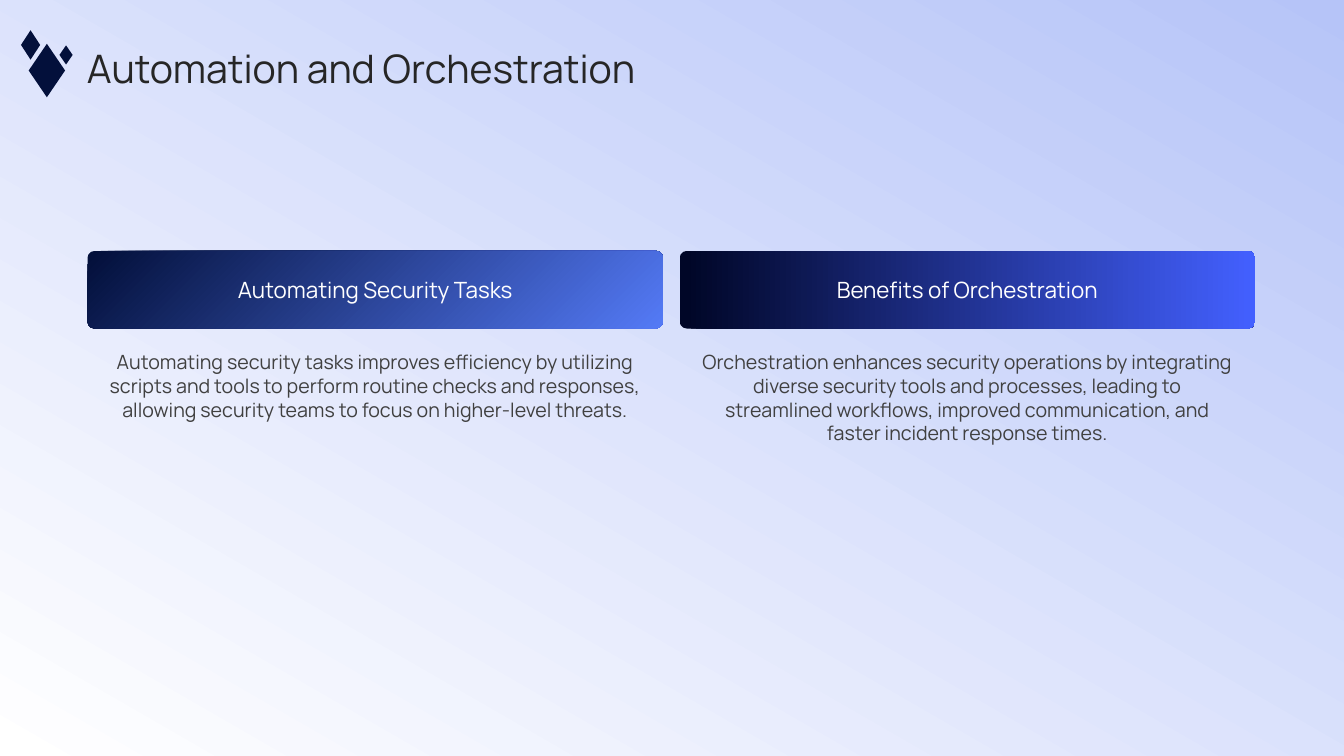
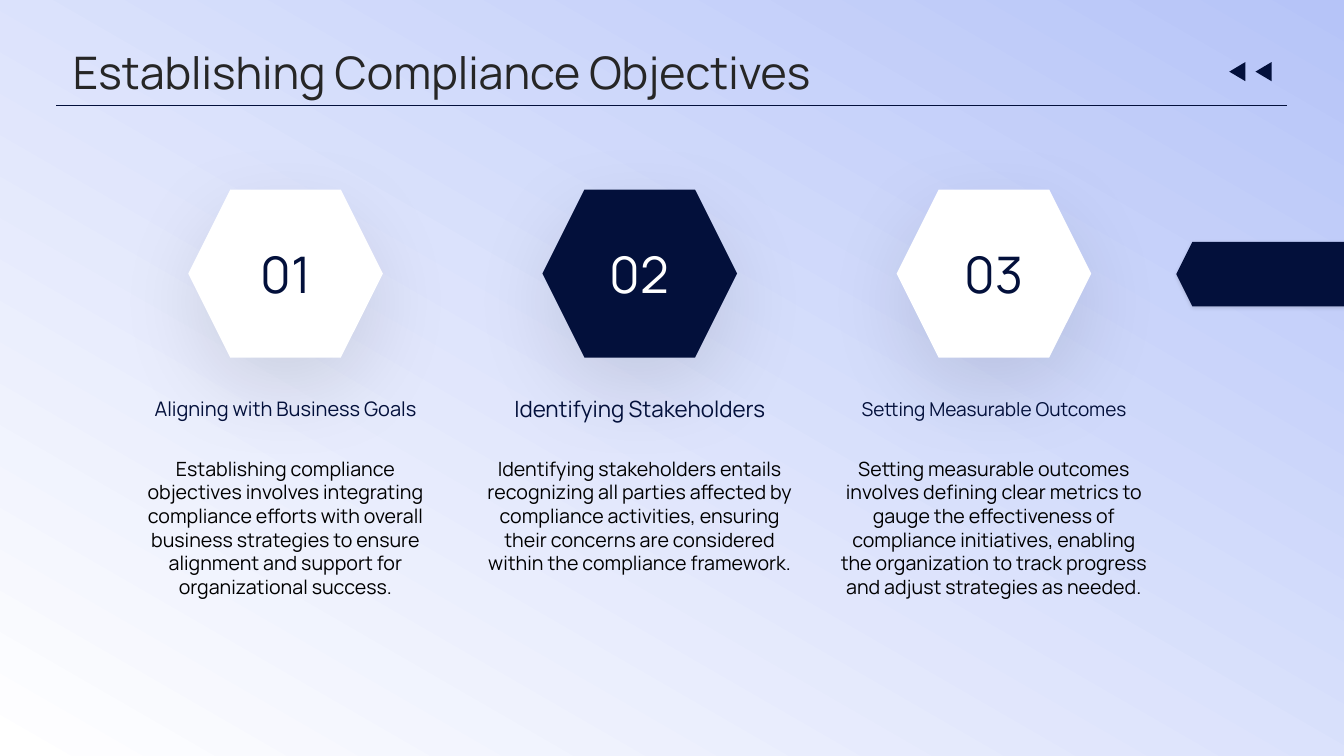
from dataclasses import dataclass

from lxml import etree
from pptx import Presentation
from pptx.dml.color import RGBColor
from pptx.dml.fill import FillFormat
from pptx.enum import shapes, text
from pptx.oxml import ns
from pptx.shapes.autoshape import Shape
from pptx.slide import Slide
from pptx.text.text import TextFrame
from pptx.util import Pt


@dataclass(frozen=True)
class Theme:
    font: str = "Manrope"
    navy: str = "03103B"
    white: str = "FFFFFF"
    black: str = "000000"
    title: str = "262626"
    body: str = "404040"
    backdrop: str = "B6C4F8"
    body_size: float = 14
    body_spacing: float = 16.9
    heading_size: float = 16
    number_size: float = 36
    label_sizes: tuple[float, ...] = (14.3, 16, 13.6)
    title_sizes: tuple[float, ...] = (28, 32)


@dataclass(frozen=True)
class Box:
    left: float
    top: float
    width: float
    height: float

    def lengths(self) -> tuple[Pt, Pt, Pt, Pt]:
        return Pt(self.left), Pt(self.top), Pt(self.width), Pt(self.height)


@dataclass(frozen=True)
class Gradient:
    start: str
    end: str
    angle: float
    offset: float = 0


@dataclass(frozen=True)
class Shadow:
    opacity: int
    blur: float
    distance: float


@dataclass(frozen=True)
class Card:
    heading: str
    body: str
    gradient: Gradient


@dataclass(frozen=True)
class Objective:
    label: str
    body: str
    fill: str
    number_color: str


THEME = Theme()
SLIDE_WIDTH, SLIDE_HEIGHT = 960, 540
HEXAGON_SHADOW = Shadow(10, 60, 20)
TAB_SHADOW = Shadow(15, 3, 1)
DIAMONDS = (
    Box(20.5, 31.3, 26, 38.2),
    Box(15, 21.6, 13.7, 21),
    Box(42.5, 32.4, 9.4, 13.7),
)
CARDS = (
    Card(
        "Automating Security Tasks",
        "Automating security tasks improves efficiency by utilizing scripts and tools to perform "
        "routine checks and responses, allowing security teams to focus on higher-level threats.",
        Gradient(THEME.navy, "547AF6", 45, 0.01),
    ),
    Card(
        "Benefits of Orchestration",
        "Orchestration enhances security operations by integrating diverse security tools and "
        "processes, leading to streamlined workflows, improved communication, and faster "
        "incident response times.",
        Gradient("000627", "4360FF", 0, 0.01),
    ),
)
OBJECTIVES = (
    Objective(
        "Aligning with Business Goals",
        "Establishing compliance objectives involves integrating compliance efforts with overall "
        "business strategies to ensure alignment and support for organizational success.",
        THEME.white,
        THEME.navy,
    ),
    Objective(
        "Identifying Stakeholders",
        "Identifying stakeholders entails recognizing all parties affected by compliance "
        "activities, ensuring their concerns are considered within the compliance framework.",
        THEME.navy,
        THEME.white,
    ),
    Objective(
        "Setting Measurable Outcomes",
        "Setting measurable outcomes involves defining clear metrics to gauge the effectiveness "
        "of compliance initiatives, enabling the organization to track progress and adjust "
        "strategies as needed.",
        THEME.white,
        THEME.navy,
    ),
)


def rgb(color: str) -> RGBColor:
    return RGBColor.from_string(color)


def apply_gradient(fill: FillFormat, gradient: Gradient) -> None:
    fill.gradient()
    fill.gradient_angle = 360 - gradient.angle
    first, last = fill.gradient_stops
    first.color.rgb, first.position = rgb(gradient.start), gradient.offset
    last.color.rgb, last.position = rgb(gradient.end), 1


def write_text(
    frame: TextFrame,
    content: str,
    size: float,
    color: str,
    alignment: text.PP_ALIGN = text.PP_ALIGN.CENTER,
    anchor: text.MSO_ANCHOR = text.MSO_ANCHOR.MIDDLE,
    spacing: float | None = None,
) -> None:
    frame.word_wrap = True
    frame.auto_size = text.MSO_AUTO_SIZE.NONE
    frame.vertical_anchor = anchor
    frame.margin_left = frame.margin_top = frame.margin_right = frame.margin_bottom = 0
    frame.text = content
    paragraph = frame.paragraphs[0]
    paragraph.alignment = alignment
    if spacing is not None:
        paragraph.line_spacing = Pt(spacing)
    paragraph.font.name = THEME.font
    paragraph.font.size = Pt(size)
    paragraph.font.color.rgb = rgb(color)


def add_text(slide: Slide, box: Box, content: str, size: float, color: str) -> None:
    write_text(slide.shapes.add_textbox(*box.lengths()).text_frame, content, size, color)


def add_body(slide: Slide, box: Box, content: str, color: str) -> None:
    write_text(
        slide.shapes.add_textbox(*box.lengths()).text_frame,
        content,
        THEME.body_size,
        color,
        anchor=text.MSO_ANCHOR.TOP,
        spacing=THEME.body_spacing,
    )


def add_shape(
    slide: Slide,
    kind: shapes.MSO_SHAPE,
    box: Box,
    fill: str | Gradient,
    shadow: Shadow | None = None,
) -> Shape:
    shape = slide.shapes.add_shape(kind, *box.lengths())
    shape.line.fill.background()
    shape.shadow.inherit = False
    if isinstance(fill, Gradient):
        apply_gradient(shape.fill, fill)
    else:
        shape.fill.solid()
        shape.fill.fore_color.rgb = rgb(fill)
    if shadow is not None:
        effects = shape.element.spPr.find(ns.qn("a:effectLst"))
        outer = etree.SubElement(
            effects,
            ns.qn("a:outerShdw"),
            blurRad=str(Pt(shadow.blur)),
            dist=str(Pt(shadow.distance)),
            dir=str(90 * 60000),
            algn="t",
            rotWithShape="0",
        )
        color = etree.SubElement(outer, ns.qn("a:srgbClr"), val=THEME.black)
        etree.SubElement(color, ns.qn("a:alpha"), val=str(shadow.opacity * 1000))
    return shape


def add_slide(presentation: Presentation, title: str, box: Box, size: float) -> Slide:
    slide = presentation.slides.add_slide(presentation.slide_layouts.get_by_name("Title Only"))
    placeholder = slide.shapes.title
    placeholder.left, placeholder.top, placeholder.width, placeholder.height = box.lengths()
    write_text(placeholder.text_frame, title, size, THEME.title, text.PP_ALIGN.LEFT)
    return slide


def build_automation(presentation: Presentation) -> None:
    slide = add_slide(
        presentation, "Automation and Orchestration", Box(62, 30.2, 840, 36.7), THEME.title_sizes[0]
    )
    for diamond in DIAMONDS:
        add_shape(slide, shapes.MSO_SHAPE.DIAMOND, diamond, THEME.navy)
    width, gap, inset = 411, 12, 13
    for index, card in enumerate(CARDS):
        left = 62.5 + index * (width + gap)
        header = add_shape(
            slide,
            shapes.MSO_SHAPE.ROUNDED_RECTANGLE,
            Box(left, 179.3, width, 55.4),
            card.gradient,
        )
        header.adjustments[0] = 0.09
        write_text(header.text_frame, card.heading, THEME.heading_size, THEME.white)
        add_body(slide, Box(left + inset, 250, width - 2 * inset, 142), card.body, THEME.body)


def build_objectives(presentation: Presentation) -> None:
    slide = add_slide(
        presentation,
        "Establishing Compliance Objectives",
        Box(52, 33, 855, 36.7),
        THEME.title_sizes[1],
    )
    rule = slide.shapes.add_connector(
        shapes.MSO_CONNECTOR.STRAIGHT, Pt(40.3), Pt(75.6), Pt(919.5), Pt(75.6)
    )
    rule.line.color.rgb = rgb(THEME.navy)
    rule.line.width = Pt(0.75)
    etree.SubElement(rule.element.spPr, ns.qn("a:effectLst"))
    for left in (877, 895.7):
        arrow = add_shape(
            slide, shapes.MSO_SHAPE.ISOSCELES_TRIANGLE, Box(left, 45.4, 13.7, 11.5), THEME.navy
        )
        arrow.rotation = 270
    add_shape(slide, shapes.MSO_SHAPE.HEXAGON, Box(840.2, 172.8, 240, 46), THEME.navy, TAB_SHADOW)

    hexagon_width, column_width, pitch = 139, 222, 253
    for index, objective in enumerate(OBJECTIVES):
        center = 204 + index * pitch
        hexagon = add_shape(
            slide,
            shapes.MSO_SHAPE.HEXAGON,
            Box(center - hexagon_width / 2, 135.4, hexagon_width, 120),
            objective.fill,
            HEXAGON_SHADOW,
        )
        write_text(
            hexagon.text_frame, f"{index + 1:02}", THEME.number_size, objective.number_color
        )
        left = center - column_width / 2
        add_text(
            slide,
            Box(left, 270, column_width, 44),
            objective.label,
            THEME.label_sizes[index],
            THEME.navy,
        )
        add_body(slide, Box(left, 326, column_width, 139), objective.body, THEME.black)


def main() -> None:
    presentation = Presentation()
    presentation.slide_width = Pt(SLIDE_WIDTH)
    presentation.slide_height = Pt(SLIDE_HEIGHT)
    apply_gradient(
        presentation.slide_master.background.fill, Gradient(THEME.backdrop, THEME.white, 120)
    )
    build_automation(presentation)
    build_objectives(presentation)
    presentation.save("out.pptx")


if __name__ == "__main__":
    main()
